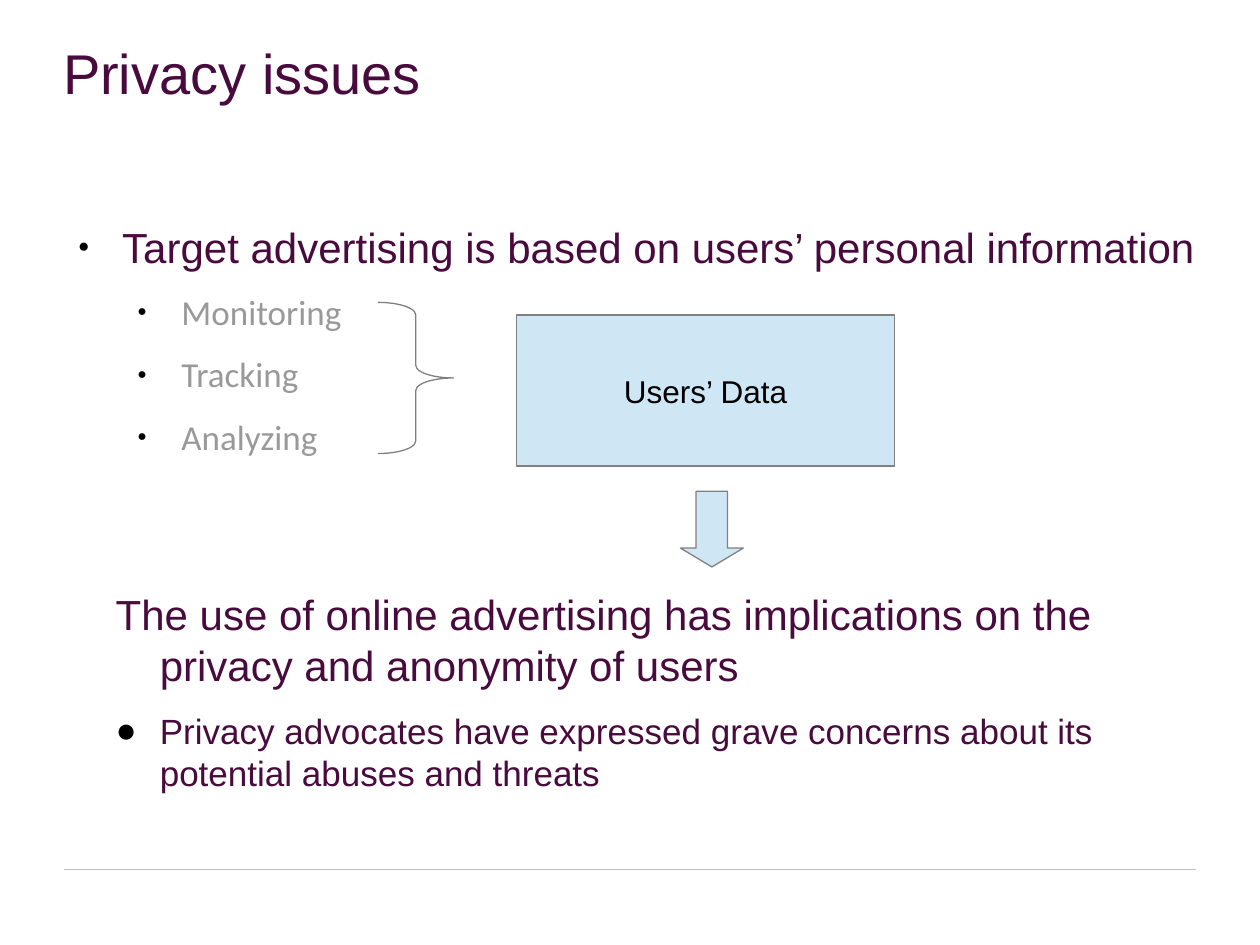
from lxml.etree import SubElement
from pptx import Presentation
from pptx.dml.color import RGBColor
from pptx.enum.shapes import MSO_CONNECTOR, MSO_SHAPE
from pptx.enum.text import MSO_ANCHOR, MSO_AUTO_SIZE, PP_ALIGN
from pptx.oxml.ns import qn
from pptx.util import Inches, Pt

PLUM = RGBColor(0x49, 0x0A, 0x3D)
GRAY = RGBColor(0x99, 0x99, 0x99)
BLACK = RGBColor(0x00, 0x00, 0x00)
PALE_BLUE = RGBColor(0xCF, 0xE7, 0xF5)
OUTLINE = RGBColor(0x80, 0x80, 0x80)
RULE = RGBColor(0xBF, 0xBF, 0xBF)

presentation = Presentation()
presentation.slide_width = Inches(10)
presentation.slide_height = Inches(7.5)
column = presentation.slide_width / 100
row = presentation.slide_height / 75


def grid(left, top, width, height):
    return [int(left * column), int(top * row), int(width * column), int(height * row)]


def format_paragraph(paragraph, size, color, font="Arial", indent=0, space_after=0, bullet_size=None):
    paragraph.line_spacing = 1.01
    paragraph.space_before = Pt(0)
    paragraph.space_after = Pt(space_after)
    for run in paragraph.runs:
        run.font.size = Pt(size)
        run.font.name = font
        run.font.color.rgb = color
    properties = paragraph._p.get_or_add_pPr()
    properties.set("marL", str(Inches(indent)))
    properties.set("indent", str(Inches(-0.35 if indent else 0)))
    if bullet_size:
        bullet_color = SubElement(properties, qn("a:buClr"))
        SubElement(bullet_color, qn("a:srgbClr"), val=str(BLACK))
        SubElement(properties, qn("a:buSzPct"), val=str(bullet_size * 1000))
        SubElement(properties, qn("a:buFont"), typeface="Arial")
        SubElement(properties, qn("a:buChar"), char="●")
    else:
        SubElement(properties, qn("a:buNone"))


slide = presentation.slides.add_slide(presentation.slide_layouts[1])
title, body = slide.placeholders

footer_rule = slide.shapes.add_connector(
    MSO_CONNECTOR.STRAIGHT, *[int(5.1 * column), int(69 * row), int(94.9 * column), int(69 * row)]
)
footer_rule.line.color.rgb = RULE
footer_rule.line.width = Pt(0.75)
SubElement(footer_rule._element.spPr, qn("a:effectLst"))

for placeholder, area in [(title, (5, 3, 90, 12.5)), (body, (5, 17.5, 91.5, 49.5))]:
    placeholder.left, placeholder.top, placeholder.width, placeholder.height = grid(*area)
    text_frame = placeholder.text_frame
    text_frame.margin_left = text_frame.margin_right = 0
    text_frame.margin_top = text_frame.margin_bottom = 0
    text_frame.vertical_anchor = MSO_ANCHOR.TOP
    text_frame.auto_size = MSO_AUTO_SIZE.NONE
    text_frame.word_wrap = True

title.text_frame.text = "Privacy issues"
title.text_frame.paragraphs[0].alignment = PP_ALIGN.LEFT
format_paragraph(title.text_frame.paragraphs[0], 32, PLUM)

body.text_frame.text = "Target advertising is based on users’ personal information\nMonitoring\nTracking\nAnalyzing"
heading, *activities = body.text_frame.paragraphs
format_paragraph(heading, 24, PLUM, indent=0.47, space_after=10.6, bullet_size=45)
for activity in activities:
    activity.level = 1
    format_paragraph(activity, 20, GRAY, "Calibri", indent=0.94, space_after=11.4, bullet_size=45)

brace = slide.shapes.add_shape(MSO_SHAPE.RIGHT_BRACE, *grid(30, 24, 6, 12))
brace.adjustments[0] = 1 / 6
data_box = slide.shapes.add_shape(MSO_SHAPE.RECTANGLE, *grid(41, 25, 30, 12))
implications = slide.shapes.add_textbox(*grid(7, 46.2, 88, 17.2))
arrow = slide.shapes.add_shape(MSO_SHAPE.DOWN_ARROW, *grid(54, 39, 5, 6))
arrow.adjustments[1] = 0.3

for shape in (brace, data_box, arrow):
    shape.shadow.inherit = False
    shape.line.color.rgb = OUTLINE
    shape.line.width = Pt(0.75)
    shape.fill.solid()
    shape.fill.fore_color.rgb = PALE_BLUE
brace.fill.background()

data_box.text_frame.text = "Users’ Data"
data_box.text_frame.vertical_anchor = MSO_ANCHOR.MIDDLE
data_box.text_frame.paragraphs[0].alignment = PP_ALIGN.CENTER
format_paragraph(data_box.text_frame.paragraphs[0], 18, BLACK)

implications.text_frame.word_wrap = True
implications.text_frame.text = (
    "The use of online advertising has implications on the privacy and anonymity of users\n"
    "Privacy advocates have expressed grave concerns about its potential abuses and threats"
)
statement, concern = implications.text_frame.paragraphs
format_paragraph(statement, 24, PLUM, indent=0.47, space_after=10.6)
format_paragraph(concern, 20, PLUM, indent=0.47, space_after=10.6, bullet_size=100)

presentation.save("out.pptx")
